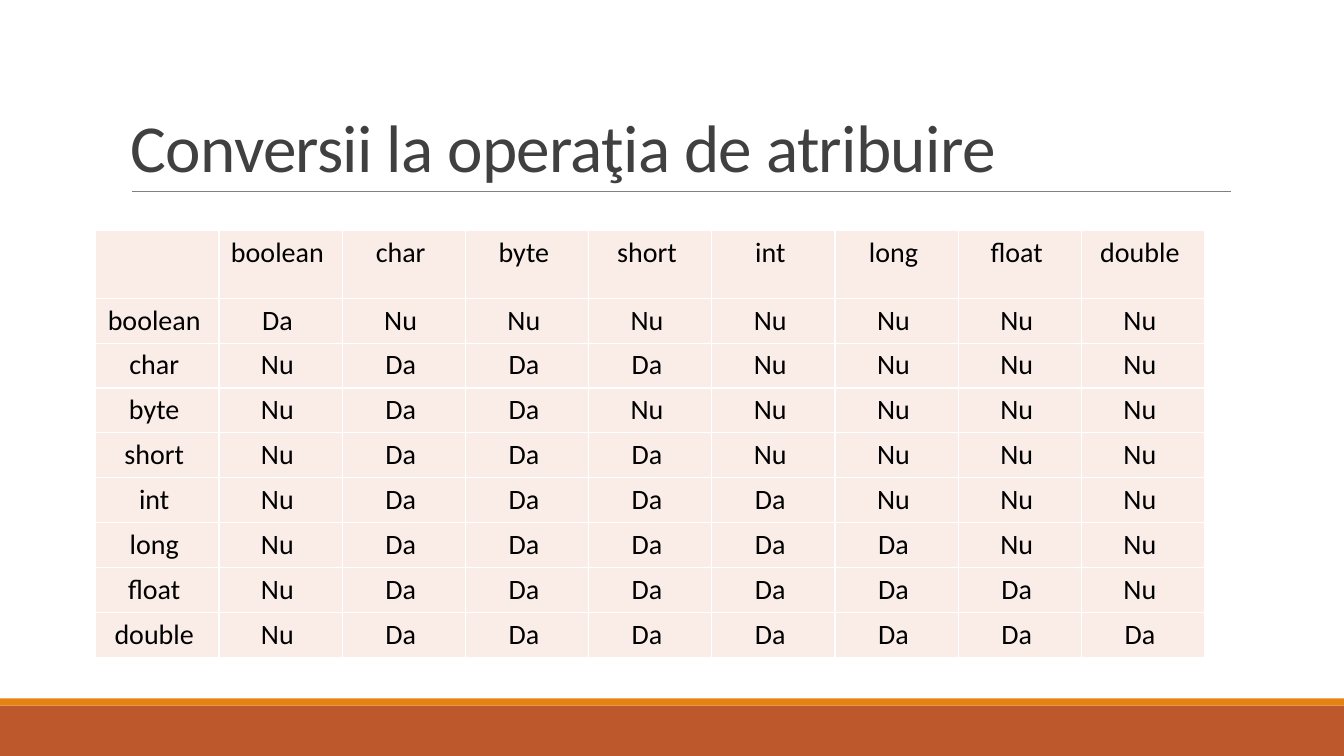
"""Build a slide with the table of Java type conversions on assignment."""
from lxml import etree
from pptx import Presentation
from pptx import util as u
from pptx.dml.color import RGBColor
from pptx.enum import shapes, text
from pptx.oxml import ns


def paint(fill, colour):
    fill.solid()
    fill.fore_color.rgb = RGBColor.from_string(colour)


def add_run(paragraph, wording, size, colour):
    run = paragraph.add_run()
    run.text = wording
    run.font.name = "Calibri"
    run.font.size = u.Pt(size)
    paint(run.font.fill, colour)
    return run


deck = Presentation()
deck.slide_width = u.Inches(13.33)
deck.slide_height = u.Inches(7.5)
slide = deck.slides.add_slide(deck.slide_layouts[6])

for top, height, colour in [(7, 0.5, "BD582C"), (6.93, 0.07, "E48312")]:
    band = slide.shapes.add_shape(
        shapes.MSO_SHAPE.RECTANGLE,
        0, u.Inches(top), deck.slide_width, u.Inches(height))
    band.shadow.inherit = False
    paint(band.fill, colour)
    band.line.fill.background()

rule = slide.shapes.add_connector(
    shapes.MSO_CONNECTOR.STRAIGHT,
    u.Inches(1.31), u.Inches(1.9), u.Inches(12.21), u.Inches(1.9))
paint(rule.line.fill, "808080")
rule.line.width = u.Pt(0.5)
etree.SubElement(rule._element.spPr, ns.qn("a:effectLst"))

title = slide.shapes.add_textbox(
    u.Inches(1.2), u.Inches(0.31), u.Inches(11), u.Inches(1.59)).text_frame
title.word_wrap = True
title.vertical_anchor = text.MSO_ANCHOR.BOTTOM
title.paragraphs[0].line_spacing = 0.85
heading = add_run(title.paragraphs[0], "Conversii la operaţia de atribuire", 48, "404040")
heading.font._element.set("spc", "-50")

types = ["boolean", "char", "byte", "short", "int", "long", "float", "double"]
allowed_counts = [3, 2, 3, 4, 5, 6, 7]
rows = [[""] + types, [types[0], "Da"] + ["Nu"] * 7]
for source_type, allowed in zip(types[1:], allowed_counts):
    rows.append([source_type, "Nu"] + ["Da"] * allowed + ["Nu"] * (7 - allowed))

conversions = slide.shapes.add_table(
    len(rows), len(rows[0]),
    u.Inches(0.95), u.Inches(2.29), u.Inches(11), u.Inches(4.23)).table
conversions.first_row = False
conversions.horz_banding = False
for column in conversions.columns:
    column.width = u.Inches(11 / 9)
for index, row in enumerate(conversions.rows):
    row.height = u.Inches(0.67 if index == 0 else 3.56 / 8)

for row, entries in zip(conversions.rows, rows):
    for cell, entry in zip(row.cells, entries):
        cell.margin_left = cell.margin_right = u.Inches(0.05)
        cell.margin_top = cell.margin_bottom = u.Inches(0.05)
        properties = cell._tc.get_or_add_tcPr()
        for side in ("a:lnL", "a:lnR", "a:lnT", "a:lnB"):
            border = etree.SubElement(properties, ns.qn(side), w=str(u.Pt(1)))
            line_fill = etree.SubElement(border, ns.qn("a:solidFill"))
            etree.SubElement(line_fill, ns.qn("a:srgbClr"), val="FFFFFF")
        paint(cell.fill, "FAEDE7")
        if entry:
            paragraph = cell.text_frame.paragraphs[0]
            paragraph.alignment = text.PP_ALIGN.CENTER
            add_run(paragraph, entry + " ", 20, "000000")

deck.save("out.pptx")
